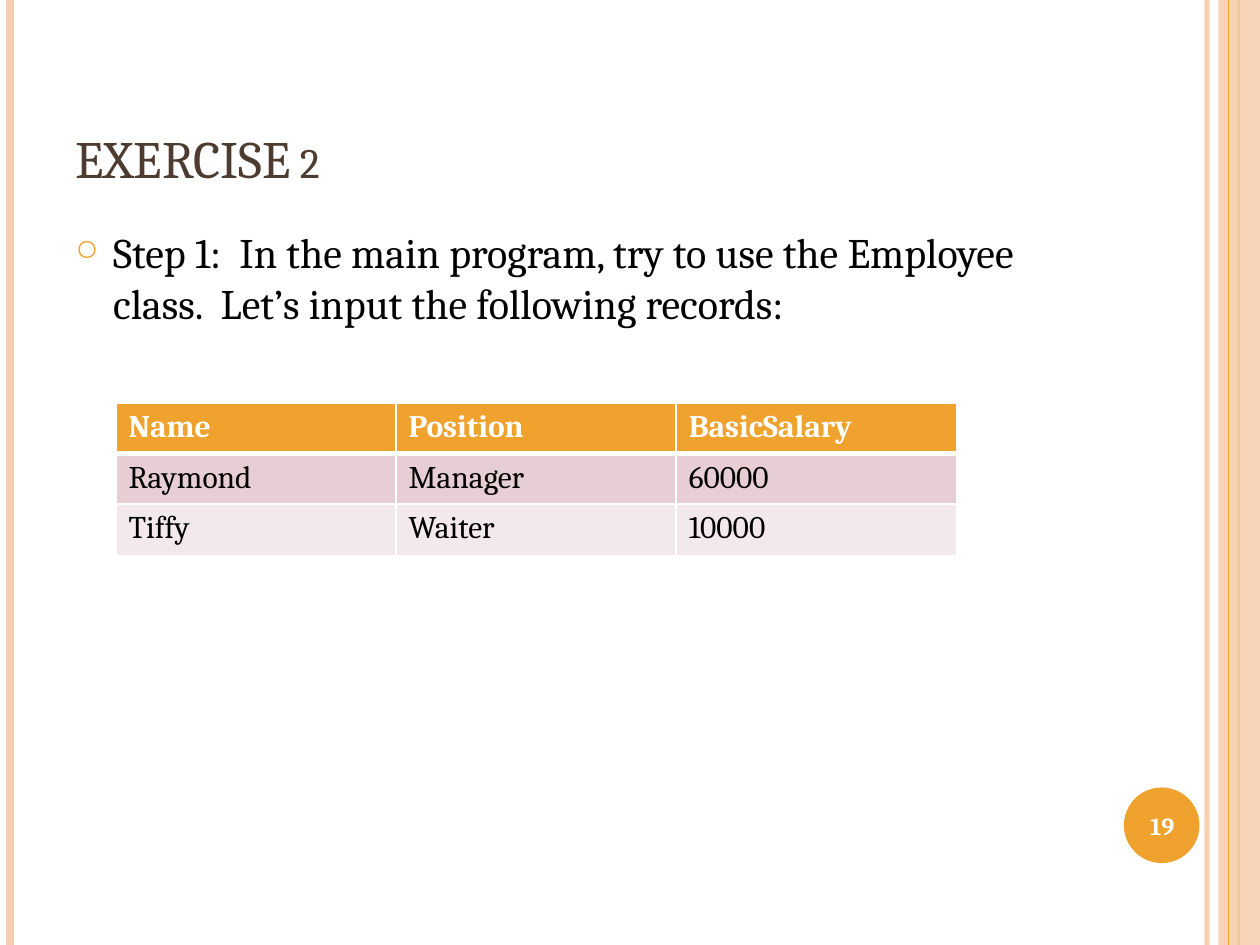
"""Build the Exercise 2 slide with its employee records table."""
from lxml import etree
from pptx import Presentation
from pptx.dml.color import RGBColor
from pptx.enum.shapes import MSO_CONNECTOR, MSO_SHAPE
from pptx.enum.text import MSO_ANCHOR, PP_ALIGN
from pptx.oxml.ns import qn
from pptx.util import Inches, Pt

COLOURS = {
    "white": "FFFFFF",
    "black": "000000",
    "brown": "4E3B30",
    "orange": "F0A22E",
    "peach": "F6CEAD",
    "rose": "E6CED4",
    "pale_rose": "F3E8EB",
}
FONT = "Cambria"
PAGE_WIDTH, PAGE_HEIGHT = 10, 7.5


def colour(name):
    return RGBColor.from_string(COLOURS[name])


def add_node(parent, tag, **attributes):
    node = etree.SubElement(parent, qn(tag))
    for key, value in attributes.items():
        node.set(key, str(value))
    return node


def set_opacity(fill_parent, percent):
    for node in fill_parent.iter(qn("a:srgbClr")):
        add_node(node, "a:alpha", val=percent * 1000)


def write_text(frame, text, size=18, ink="black", bold=False, small_caps=False,
               align=PP_ALIGN.LEFT, anchor=MSO_ANCHOR.TOP, before=0):
    frame.word_wrap = True
    frame.vertical_anchor = anchor
    para = frame.paragraphs[0]
    para.alignment = align
    para.space_before = Pt(before)
    span = para.add_run()
    span.text = text
    span.font.name = FONT
    span.font.size = Pt(size)
    span.font.bold = bold
    span.font.color.rgb = colour(ink)
    if small_caps:
        span.font._element.set("cap", "small")
    return para


class SlideBuilder:
    """Hold the page and draw each kind of element on it."""

    def __init__(self, page):
        self.page = page

    def rule(self, x, ink, width, opacity=100):
        line = self.page.shapes.add_connector(
            MSO_CONNECTOR.STRAIGHT, Inches(x), 0, Inches(x), Inches(PAGE_HEIGHT))
        line.line.color.rgb = colour(ink)
        line.line.width = Pt(width)
        properties = line._element.spPr
        if opacity < 100:
            set_opacity(properties, opacity)
        add_node(properties, "a:effectLst")

    def shape(self, kind, left, top, width, height, ink, opacity=100):
        shape = self.page.shapes.add_shape(
            kind, Inches(left), Inches(top), Inches(width), Inches(height))
        shape.shadow.inherit = False
        shape.fill.solid()
        shape.fill.fore_color.rgb = colour(ink)
        shape.line.fill.background()
        if opacity < 100:
            set_opacity(shape._element.spPr, opacity)

    def text(self, left, top, width, height, text, **style):
        box = self.page.shapes.add_textbox(
            Inches(left), Inches(top), Inches(width), Inches(height))
        return write_text(box.text_frame, text, **style)

    def bullet(self, para, symbol, ink, percent, indent):
        properties = para._p.get_or_add_pPr()
        properties.set("marL", str(Inches(indent)))
        properties.set("indent", str(-Inches(indent)))
        bullet_colour = add_node(properties, "a:buClr")
        add_node(bullet_colour, "a:srgbClr", val=COLOURS[ink])
        add_node(properties, "a:buSzPct", val=percent * 1000)
        add_node(properties, "a:buChar", char=symbol)

    def border(self, cell, **widths):
        properties = cell._tc.get_or_add_tcPr()
        for position, side in enumerate("LRTB"):
            line = etree.Element(qn(f"a:ln{side}"), w=str(Pt(widths.get(side, 1))))
            fill = add_node(line, "a:solidFill")
            add_node(fill, "a:srgbClr", val=COLOURS["white"])
            properties.insert(position, line)

    def table(self, left, top, width, row_heights, records, fills):
        columns = len(records[0])
        table = self.page.shapes.add_table(
            len(records), columns, Inches(left), Inches(top),
            Inches(width), Inches(sum(row_heights))).table
        for column in table.columns:
            column.width = Inches(width / columns)
        for row_index, record in enumerate(records):
            table.rows[row_index].height = Inches(row_heights[row_index])
            header = row_index == 0
            edges = {0: {"B": 3}, 1: {"T": 3}}.get(row_index, {})
            for column_index, value in enumerate(record):
                cell = table.cell(row_index, column_index)
                cell.fill.solid()
                cell.fill.fore_color.rgb = colour(fills[row_index])
                write_text(cell.text_frame, value, bold=header,
                           ink="white" if header else "black")
                self.border(cell, **edges)


def main():
    deck = Presentation()
    deck.slide_width, deck.slide_height = Inches(PAGE_WIDTH), Inches(PAGE_HEIGHT)
    builder = SlideBuilder(deck.slides.add_slide(deck.slide_layouts[6]))

    builder.rule(9.58, "peach", 3, opacity=93)
    builder.rule(0.08, "peach", 4.5)
    builder.rule(9.83, "orange", 1.5)
    builder.shape(MSO_SHAPE.RECTANGLE, 9.67, 0, 0.33, PAGE_HEIGHT, "peach", opacity=87)
    builder.rule(9.75, "orange", 0.75)
    builder.shape(MSO_SHAPE.OVAL, 8.92, 6.25, 0.6, 0.6, "orange")

    builder.text(0.5, 0.3, 8.17, 1.25, "Exercise 2".upper(), size=30, ink="brown",
                 small_caps=True, anchor=MSO_ANCHOR.BOTTOM)
    step = builder.text(
        0.5, 1.75, 8.17, 5.33,
        "Step 1:  In the main program, try to use the Employee class.  "
        "Let’s input the following records:", size=24, before=6)
    builder.bullet(step, "○", "orange", 70, 0.3)
    builder.table(
        0.92, 3.2, 6.67, [0.4, 0.4, 0.41],
        [("Name", "Position", "BasicSalary"),
         ("Raymond", "Manager", "60000"),
         ("Tiffy", "Waiter", "10000")],
        ["orange", "rose", "pale_rose"])
    builder.text(8.89, 6.27, 0.67, 0.57, "19", size=14, ink="white", bold=True,
                 align=PP_ALIGN.CENTER, anchor=MSO_ANCHOR.MIDDLE)
    deck.save("out.pptx")


main()
